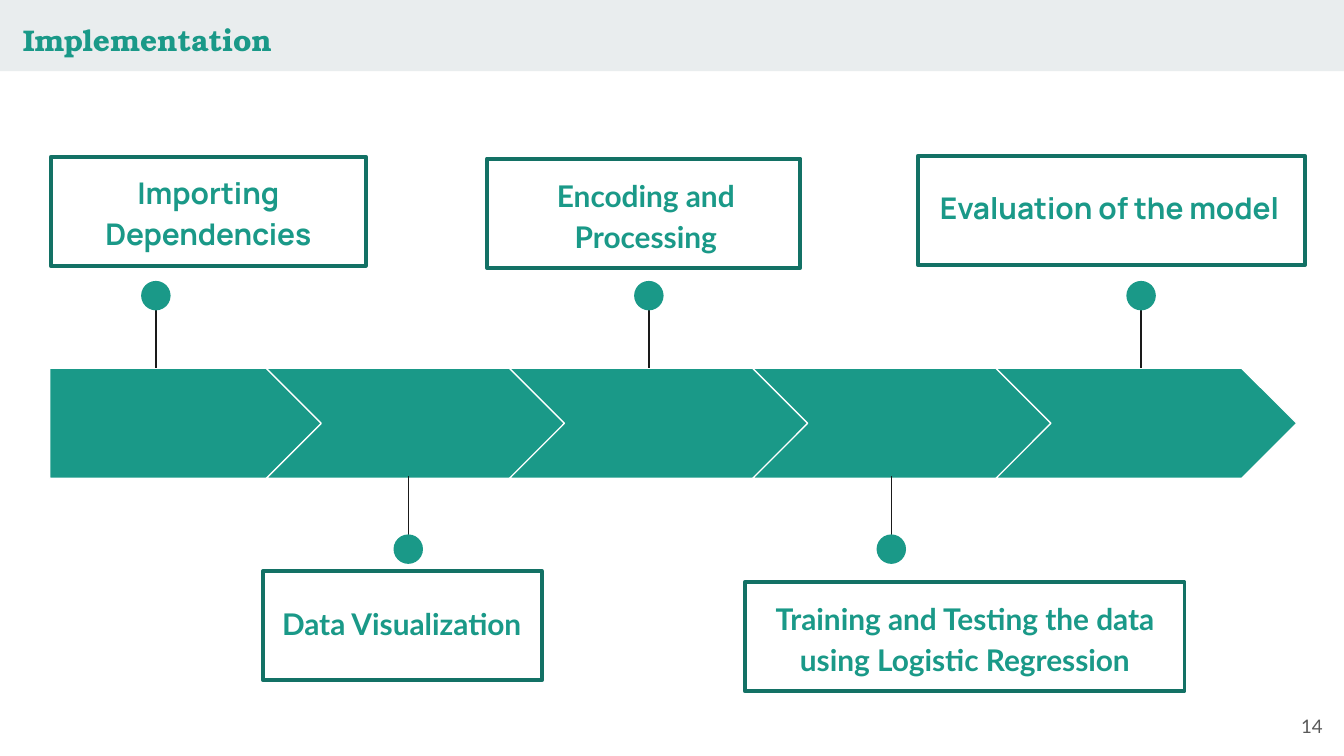
from pptx import Presentation
from pptx.dml.color import RGBColor
from pptx.enum.shapes import MSO_CONNECTOR as CONN, MSO_SHAPE as SHAPE
from pptx.enum.text import MSO_ANCHOR as ANCHOR, MSO_AUTO_SIZE as FIT, PP_ALIGN as ALIGN
from pptx.oxml.ns import qn
from pptx.util import Pt
from lxml import etree

COLORS = {
    "teal": "1A9988",
    "dark_teal": "137165",
    "band": "E9EDEE",
    "ink": "1A1A1A",
    "gray": "595959",
    "white": "FFFFFF",
}
ARROW_TOP, ARROW_H = 197.3, 59
FIRST_LEFT, FIRST_W = 26.6, 147.6
CHEVRON_LEFT, CHEVRON_W, CHEVRON_STEP = 142.6, 161.2, 130.3
DOT, STEM = 15.8, 43.9

# Per step: pin x, label, font, label box, frame (boxes are left, top, width, height)
STEPS = [
    (83.5, "Importing Dependencies", "Manrope",
     (17.3, 83.5, 188.6, 54.7), (27.2, 84, 168.8, 58.5)),
    (218.7, "Data Visualization", "Lato",
     (134.6, 314.6, 161.3, 59), (140.9, 306, 149.4, 58.5)),
    (347.6, "Encoding and Processing", "Lato",
     (257.8, 85, 176.4, 71.3), (260.8, 85, 168, 58.5)),
    (477.5, "Training and Testing the data using Logistic Regression", "Lato",
     (391, 311.8, 252, 59), (399, 311.8, 235.6, 58.5)),
    (611.3, "Evaluation of the model", "Manrope",
     (477.4, 97.9, 234, 26.6), (491.7, 83.5, 207.5, 58.5)),
]


def rgb(name):
    return RGBColor.from_string(COLORS[name])


class Deck:
    """Holds the style and the current slide; all lengths are in points."""

    def __init__(self, width, height):
        self.prs = Presentation()
        self.prs.slide_width, self.prs.slide_height = Pt(width), Pt(height)
        self.s = self.prs.slides.add_slide(self.prs.slide_layouts[5])

    def place(self, sp, box):
        sp.left, sp.top, sp.width, sp.height = map(Pt, box)

    def set_text(self, tf, text, font, size, color, bold, align):
        p = tf.paragraphs[0]
        p.text, p.alignment = text, align
        f = p.font
        f.name, f.size, f.bold = font, Pt(size), bold
        f.color.rgb = rgb(color)
        return p

    def title(self, text, box):
        sp = self.s.shapes.title
        self.place(sp, box)
        tf = sp.text_frame
        tf.word_wrap, tf.auto_size = False, FIT.SHAPE_TO_FIT_TEXT
        tf.vertical_anchor = ANCHOR.TOP
        self.set_text(tf, text, "TeX Gyre Bonum", 16, "teal", True, ALIGN.LEFT)

    def shape(self, kind, box, fill=None, line=None, weight=0.75):
        sp = self.s.shapes.add_shape(kind, *map(Pt, box))
        sp.shadow.inherit = False
        if fill:
            sp.fill.solid()
            sp.fill.fore_color.rgb = rgb(fill)
        else:
            sp.fill.background()
        if line:
            sp.line.color.rgb = rgb(line)
            sp.line.width = Pt(weight)
        else:
            sp.line.fill.background()
        return sp

    def header_band(self, height):
        """Draw the band behind the title."""
        sp = self.shape(SHAPE.RECTANGLE, (0, 0, 720, height), "band")
        self.s.shapes.element.insert(2, sp.element)

    def arrow(self, kind, left, width):
        sp = self.shape(kind, (left, ARROW_TOP, width, ARROW_H), "teal", "white")
        sp.adjustments[0] = 0.5

    def pin(self, x, above):
        """Draw a stem from the arrow band to a dot above or below it."""
        if above:
            base, tip, dot_top = ARROW_TOP, ARROW_TOP - STEM, 150.5
        else:
            base, tip, dot_top = 254.9, 254.9 + STEM, 286.3
        c = self.s.shapes.add_connector(CONN.STRAIGHT, Pt(x), Pt(tip), Pt(x), Pt(base))
        c.line.color.rgb = rgb("ink")
        c.line.width = Pt(0.75)
        etree.SubElement(c.element.spPr, qn("a:effectLst"))
        self.shape(SHAPE.OVAL, (x - DOT / 2, dot_top, DOT, DOT), "teal")

    def text(self, text, box, font, size, color, bold=False, align=ALIGN.CENTER, inset=7.2):
        tf = self.s.shapes.add_textbox(*map(Pt, box)).text_frame
        tf.word_wrap = True
        tf.margin_top = tf.margin_bottom = Pt(inset)
        return tf, self.set_text(tf, text, font, size, color, bold, align)

    def label(self, text, font, box):
        single = box[3] < 30
        tf, p = self.text(text, box, font, 16, "teal", True, inset=3.6 if single else 7.2)
        if single:
            tf.auto_size = FIT.SHAPE_TO_FIT_TEXT
        else:
            p.line_spacing, p.space_after = 1.15, Pt(16)

    def page_number(self, number, box):
        tf, _ = self.text(number, box, "Lato", 10, "gray", align=ALIGN.RIGHT)
        tf.vertical_anchor = ANCHOR.MIDDLE


def main():
    deck = Deck(720, 405)
    deck.header_band(38.2)
    deck.title("Implementation", (5, 7.9, 155.5, 26.6))
    for i, (x, text, font, label_box, frame) in enumerate(STEPS):
        if i == 0:
            deck.arrow(SHAPE.PENTAGON, FIRST_LEFT, FIRST_W)
        else:
            deck.arrow(SHAPE.CHEVRON, CHEVRON_LEFT + (i - 1) * CHEVRON_STEP, CHEVRON_W)
        deck.pin(x, above=i % 2 == 0)
        deck.shape(SHAPE.RECTANGLE, frame, line="dark_teal", weight=2)
        deck.label(text, font, label_box)
    deck.page_number("14", (672.5, 373.7, 43.2, 31))
    deck.prs.save("out.pptx")


if __name__ == "__main__":
    main()
